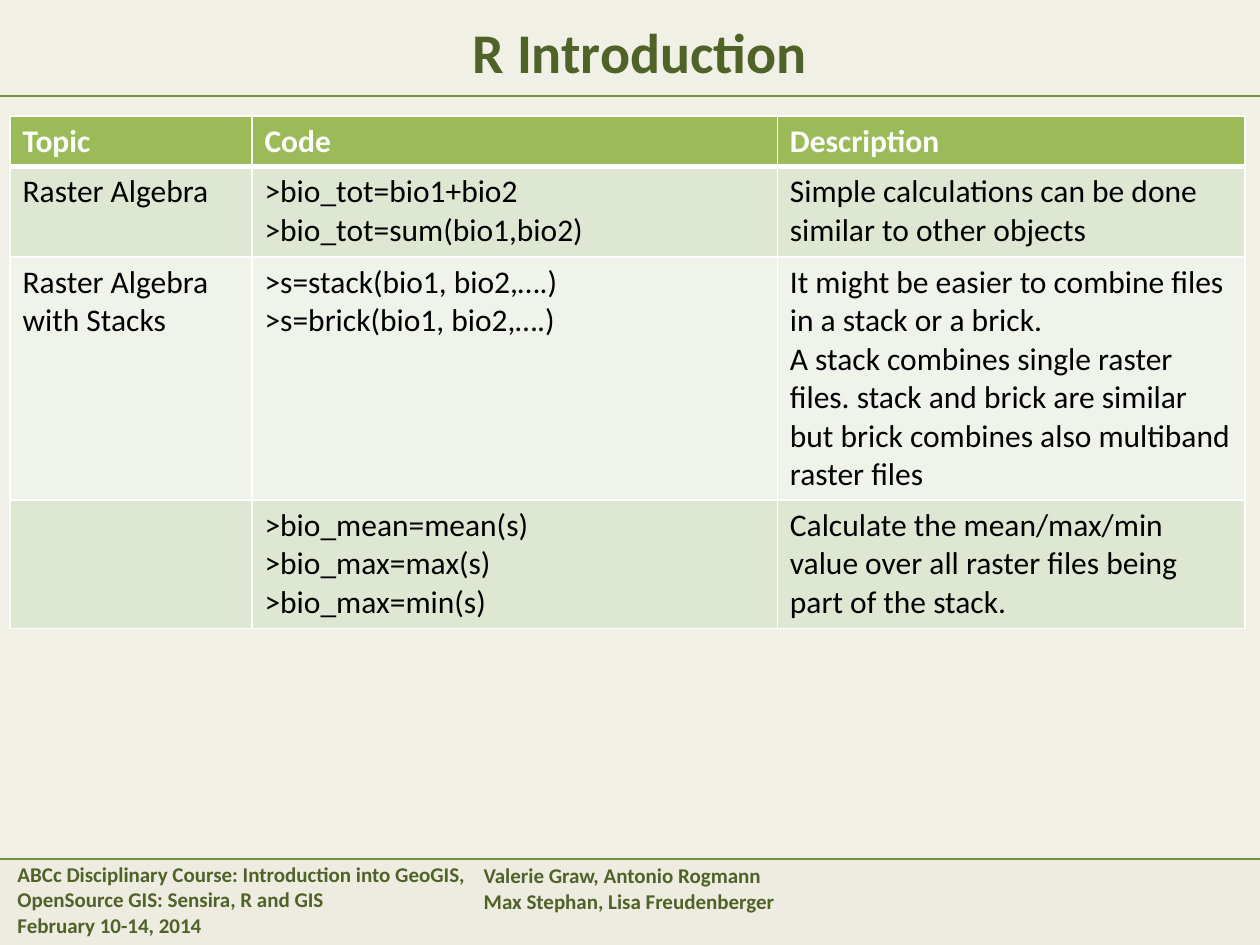
from lxml import etree
from pptx import Presentation
from pptx import util as u
from pptx.dml.color import RGBColor
from pptx.enum import shapes, text
from pptx.oxml import ns

Inches = u.Inches
BEIGE = RGBColor(0xEE, 0xEC, 0xE1)
CREAM = RGBColor(0xF3, 0xF2, 0xE9)
OLIVE = RGBColor(0x77, 0x93, 0x3C)
DARK_GREEN = RGBColor(0x4F, 0x62, 0x28)
HEADER_GREEN = RGBColor(0x9B, 0xBB, 0x59)
BANDS = RGBColor(0xDE, 0xE7, 0xD1), RGBColor(0xEF, 0xF3, 0xEA)
WHITE = RGBColor(0xFF, 0xFF, 0xFF)
BLACK = RGBColor(0, 0, 0)

COLUMNS = [1.92, 4.17, 3.71]
ROWS = [0.4, 0.72, 1.93, 1.02]
TOPICS = [
    ("Topic", "Code", "Description"),
    ("Raster Algebra",
     ">bio_tot=bio1+bio2\n>bio_tot=sum(bio1,bio2)",
     "Simple calculations can be done similar to other objects"),
    ("Raster Algebra with Stacks",
     ">s=stack(bio1, bio2,….)\n>s=brick(bio1, bio2,….)",
     "It might be easier to combine files in a stack or a brick.\n"
     "A stack combines single raster files. stack and brick are similar "
     "but brick combines also multiband raster files"),
    ("",
     ">bio_mean=mean(s)\n>bio_max=max(s)\n>bio_max=min(s)",
     "Calculate the mean/max/min value over all raster files being part of the stack."),
]
COURSE = ("ABCc Disciplinary Course: Introduction into GeoGIS, "
          "OpenSource GIS: Sensira, R and GIS\nFebruary 10-14, 2014")
LECTURERS = "Valerie Graw, Antonio Rogmann\nMax Stephan, Lisa Freudenberger"


class CourseSlide:
    """Holds the course style and the slide being drawn."""

    def __init__(self, slide, font="Calibri"):
        self.slide = slide
        self.font = font
        background = slide.background.fill
        background.solid()
        background.fore_color.rgb = BEIGE

    def set_text(self, frame, content, size, color, bold):
        frame.text = content
        for paragraph in frame.paragraphs:
            for font in [paragraph.font] + [run.font for run in paragraph.runs]:
                font.name, font.size, font.bold = self.font, u.Pt(size), bold
                font.color.rgb = color

    def panel(self, left, top, width, height, color, opacity):
        panel = self.slide.shapes.add_shape(
            shapes.MSO_SHAPE.RECTANGLE,
            Inches(left), Inches(top), Inches(width), Inches(height))
        panel.shadow.inherit = False
        panel.line.fill.background()
        panel.fill.solid()
        panel.fill.fore_color.rgb = color
        tint = panel._element.spPr.find(ns.qn("a:solidFill"))[0]
        etree.SubElement(tint, ns.qn("a:alpha"), val=str(opacity * 1000))
        self.slide.shapes._spTree.insert(2, panel._element)

    def rule(self, top):
        rule = self.slide.shapes.add_connector(
            shapes.MSO_CONNECTOR.STRAIGHT, 0, Inches(top), Inches(10), Inches(top))
        rule.line.color.rgb = OLIVE
        rule.line.width = u.Pt(1)
        etree.SubElement(rule._element.spPr, ns.qn("a:effectLst"))

    def title(self, content, left, top, width, height):
        title = self.slide.shapes.title
        title.left, title.top = Inches(left), Inches(top)
        title.width, title.height = Inches(width), Inches(height)
        self.set_text(title.text_frame, content, 32, DARK_GREEN, True)
        title.text_frame.vertical_anchor = text.MSO_ANCHOR.MIDDLE
        title.text_frame.paragraphs[0].alignment = text.PP_ALIGN.CENTER

    def footer(self, content, left, top, width, height):
        footer = self.slide.shapes.add_textbox(
            Inches(left), Inches(top), Inches(width), Inches(height))
        footer.text_frame.word_wrap = True
        self.set_text(footer.text_frame, content, 12, DARK_GREEN, True)

    def borders(self, cell, bottom):
        properties = cell._tc.get_or_add_tcPr()
        widths = {"lnL": 1, "lnR": 1, "lnT": 1, "lnB": bottom}
        for index, (side, width) in enumerate(widths.items()):
            border = etree.Element(ns.qn(f"a:{side}"), w=str(u.Pt(width)))
            fill = etree.SubElement(border, ns.qn("a:solidFill"))
            etree.SubElement(fill, ns.qn("a:srgbClr"), val=str(WHITE))
            properties.insert(index, border)

    def table(self, rows, left, top, widths, heights):
        table = self.slide.shapes.add_table(
            len(rows), len(widths), Inches(left), Inches(top),
            Inches(sum(widths)), Inches(sum(heights))).table
        for column, width in zip(table.columns, widths):
            column.width = Inches(width)
        for row, height in zip(table.rows, heights):
            row.height = Inches(height)
        for r, row in enumerate(rows):
            header = r == 0
            for c, content in enumerate(row):
                cell = table.cell(r, c)
                self.set_text(cell.text_frame, content, 18,
                              WHITE if header else BLACK, header)
                cell.fill.solid()
                cell.fill.fore_color.rgb = HEADER_GREEN if header else BANDS[(r - 1) % 2]
                self.borders(cell, 3 if header else 1)


def main():
    deck = Presentation()
    deck.slide_width, deck.slide_height = Inches(10), Inches(7.5)
    course = CourseSlide(deck.slides.add_slide(deck.slide_layouts[5]))
    course.panel(0, -0.01, 10, 6.82, CREAM, 75)
    course.rule(6.82)
    course.footer(COURSE, 0.04, 6.79, 3.78, 0.71)
    course.footer(LECTURERS, 3.74, 6.8, 2.71, 0.5)
    course.rule(0.76)
    course.title("R Introduction", 1.46, 0.05, 7.24, 0.71)
    course.table(TOPICS, 0.08, 0.92, COLUMNS, ROWS)
    deck.save("out.pptx")


if __name__ == "__main__":
    main()
